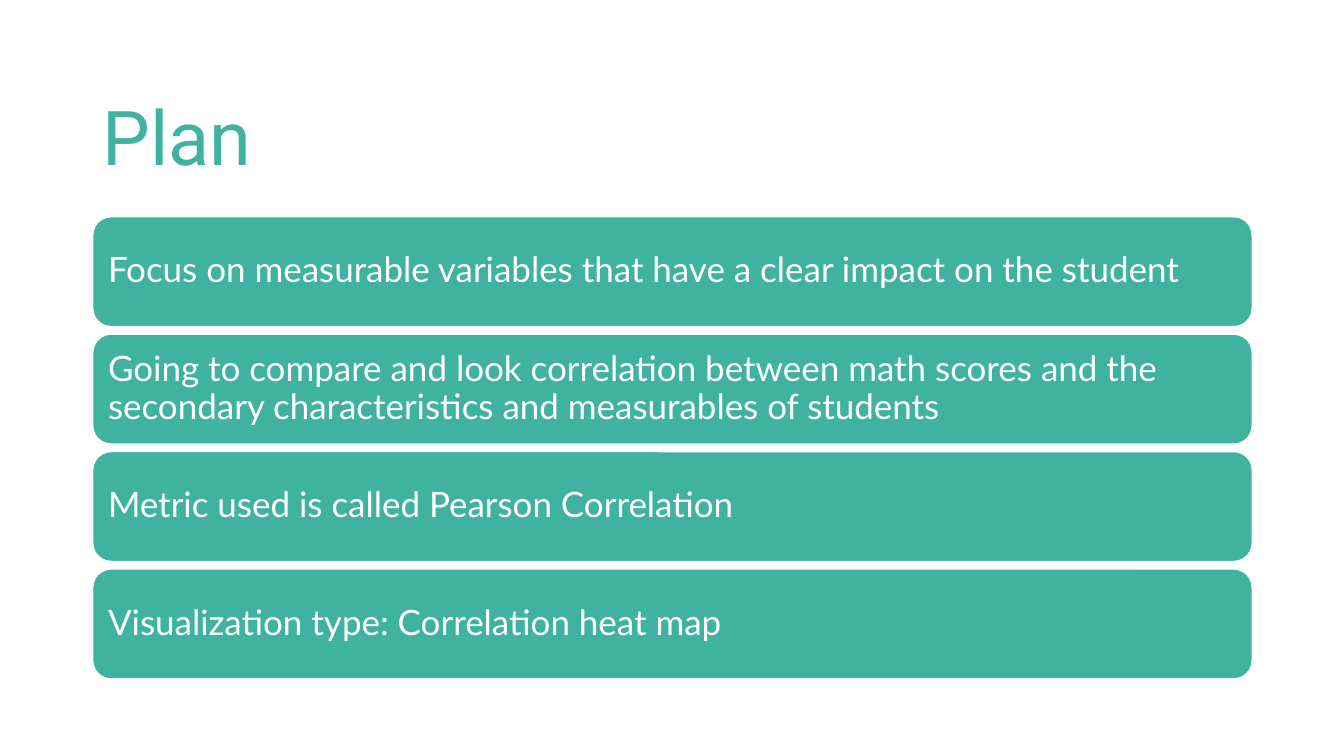
from pptx import Presentation
from pptx.dml.color import RGBColor
from pptx.enum.shapes import MSO_SHAPE
from pptx.enum.text import MSO_ANCHOR, PP_ALIGN
from pptx.util import Inches, Pt

ROUNDED = MSO_SHAPE.ROUNDED_RECTANGLE
MIDDLE, BOTTOM = MSO_ANCHOR.MIDDLE, MSO_ANCHOR.BOTTOM
LEFT = PP_ALIGN.LEFT

TEAL, WHITE = "3FB2A0", "FFFFFF"
MARGIN, CONTENT_WIDTH = 0.92, 11.5
CARD_TOP, CARD_HEIGHT, CARD_PITCH = 2.15, 1.09, 1.165
PLAN_STEPS = [
    "Focus on measurable variables that have a clear impact on the student",
    "Going to compare and look correlation between math scores and the "
    "secondary characteristics and measurables of students",
    "Metric used is called Pearson Correlation",
    "Visualization type: Correlation heat map",
]


def color(hex_value):
    return RGBColor.from_string(hex_value)


def write_text(shape, text, font_name, size, hex_value, anchor):
    text_frame = shape.text_frame
    text_frame.text = text
    text_frame.word_wrap = True
    text_frame.vertical_anchor = anchor
    paragraph = text_frame.paragraphs[0]
    paragraph.alignment = LEFT
    paragraph.line_spacing = 0.9
    font = paragraph.runs[0].font
    font.name = font_name
    font.size = Pt(size)
    font.color.rgb = color(hex_value)


def add_title(slide, text):
    title = slide.shapes.add_textbox(
        Inches(MARGIN), Inches(0.4), Inches(CONTENT_WIDTH), Inches(1.45))
    write_text(title, text, "Roboto", 54, TEAL, BOTTOM)


def add_card(slide, top, text):
    card = slide.shapes.add_shape(
        ROUNDED, Inches(MARGIN), Inches(top),
        Inches(CONTENT_WIDTH), Inches(CARD_HEIGHT))
    card.shadow.inherit = False
    card.fill.solid()
    card.fill.fore_color.rgb = color(TEAL)
    card.line.color.rgb = color(WHITE)
    card.line.width = Pt(1)
    write_text(card, text, "Lato", 25, WHITE, MIDDLE)


def main():
    presentation = Presentation()
    presentation.slide_width = Inches(13.33)
    presentation.slide_height = Inches(7.5)
    slide = presentation.slides.add_slide(presentation.slide_layouts[6])
    add_title(slide, "Plan")
    for index, step in enumerate(PLAN_STEPS):
        add_card(slide, CARD_TOP + index * CARD_PITCH, step)
    presentation.save("out.pptx")


if __name__ == "__main__":
    main()
